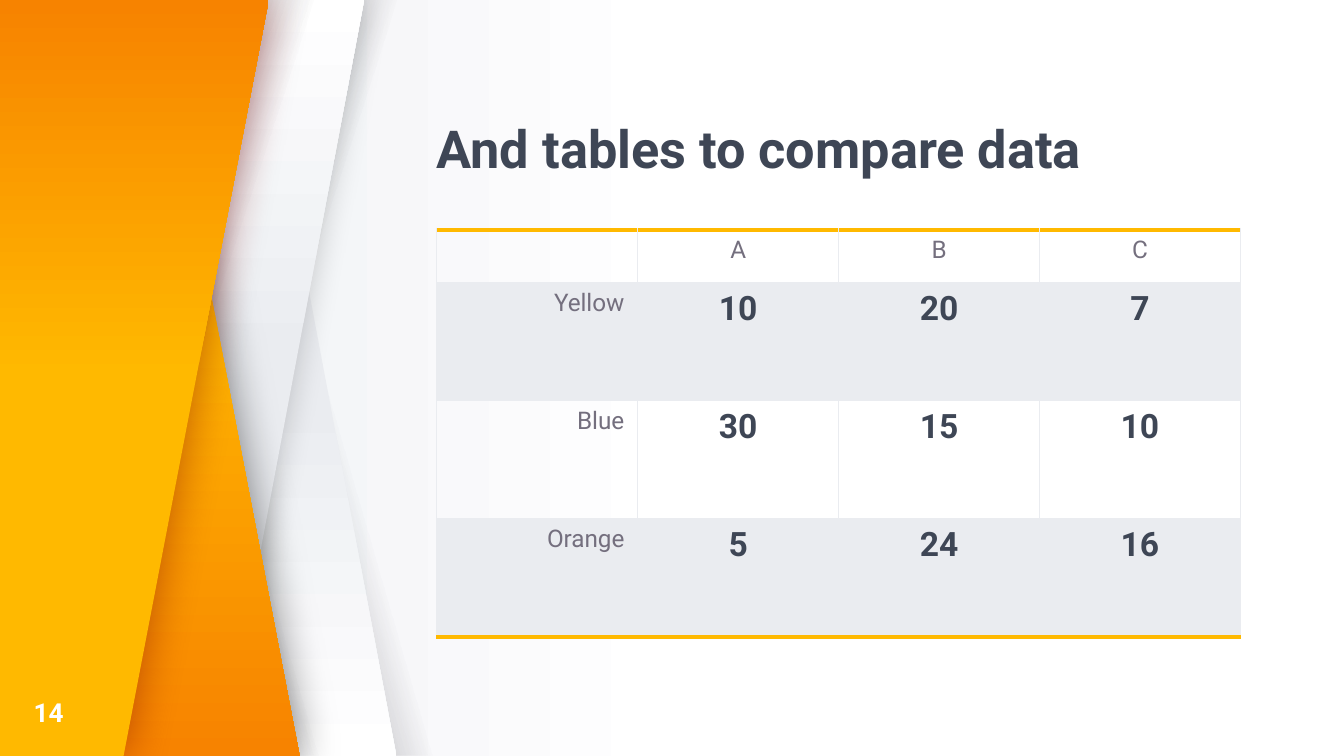
from pptx import Presentation
from pptx.dml.color import RGBColor
from pptx.enum.shapes import MSO_SHAPE
from pptx.enum.text import MSO_ANCHOR, PP_ALIGN
from pptx.oxml import parse_xml
from pptx.oxml.ns import nsdecls, qn
from pptx.util import Inches, Pt

WIDTH = 10
HEIGHT = WIDTH * 9 / 16
YELLOW, ORANGE, PALE, WHITE = "FFB900", "F78300", "EAECF0", "FFFFFF"
DARK, GREY, NIGHT = "3E4655", "746F7E", "27252C"
LABEL = {"size": Pt(13), "bold": False, "color": GREY}
VALUE = {"size": Pt(18), "bold": True, "color": DARK}
TITLE = {"size": Pt(28), "bold": True, "color": DARK}
NUMBER = {"size": Pt(14), "bold": True, "color": WHITE}


def rgb(value):
    return RGBColor.from_string(value)


def write(para, text, style, align=PP_ALIGN.LEFT):
    para.alignment = align
    span = para.add_run()
    span.text = text
    span.font.name = "Roboto"
    for name, value in style.items():
        if name == "color":
            span.font.color.rgb = rgb(value)
        else:
            setattr(span.font, name, value)


def set_frame(frame, anchor):
    settings = {"word_wrap": True, "vertical_anchor": anchor, "margin_left": 0,
                "margin_top": 0, "margin_right": 0, "margin_bottom": 0}
    for name, value in settings.items():
        setattr(frame, name, value)


def place(shape, left, top, width, height):
    for name, value in zip(("left", "top", "width", "height"), (left, top, width, height)):
        setattr(shape, name, Inches(value))


def set_gradient(fill, stops, angle):
    """Two-stop gradient; the angle runs clockwise."""
    fill.gradient()
    fill.gradient_angle = 360 - angle
    for stop, (position, color) in zip(fill.gradient_stops, stops):
        stop.position = position / 100
        stop.color.rgb = rgb(color)


def set_glow_shadow(shape, color, alpha, blur):
    shape.shadow.inherit = False
    effects = shape._element.spPr.find(qn("a:effectLst"))
    effects.append(parse_xml(
        f'<a:outerShdw {nsdecls("a")} blurRad="{Pt(blur)}" dist="0" dir="0" algn="bl" rotWithShape="0">'
        f'<a:srgbClr val="{color}"><a:alpha val="{alpha * 1000}"/></a:srgbClr></a:outerShdw>'))


def add_slant(page, left, height, slant, flip, stops, angle):
    shape = page.shapes.add_shape(MSO_SHAPE.PARALLELOGRAM, Inches(left), 0,
                                  Inches(2.3), Inches(height))
    shape.adjustments[0] = slant
    if flip:
        shape._element.spPr.find(qn("a:xfrm")).set("flipH", "1")
    set_gradient(shape.fill, stops, angle)
    shape.line.fill.background()
    shape.shadow.inherit = False
    return shape


def add_shade(page, left, height, flip):
    """Soft dark strip that fades out to the right."""
    start, angle = (45, 16) if flip else (44, 198)
    shape = add_slant(page, left, height, 0.75, flip, [(start, NIGHT), (100, DARK)], angle)
    first = next(shape._element.spPr.iter(qn("a:srgbClr")))
    first.append(parse_xml(f'<a:alpha {nsdecls("a")} val="0"/>'))


def add_sheet(page, left, points, start, angle, shadow_color):
    """Coloured sheet that fills the left edge."""
    first, *others = [(Inches(left + x), Inches(y)) for x, y in points]
    builder = page.shapes.build_freeform(*first)
    builder.add_line_segments(others, close=True)
    sheet = builder.convert_to_shape()
    set_gradient(sheet.fill, [(start, YELLOW), (100, ORANGE)], angle)
    sheet.line.fill.background()
    set_glow_shadow(sheet, shadow_color, 50, 24.7)


def add_folded_paper(page, left, height):
    white_stops = [(53, PALE), (100, WHITE)]
    # White bands, each over its own shade
    add_shade(page, left + 1.07, height, True)
    add_slant(page, left + 0.65, height, 0.46, True, white_stops, 90)
    add_shade(page, left + 0.65, height, False)
    band = add_slant(page, left + 0.41, height, 0.46, False, white_stops, 270)
    set_glow_shadow(band, "000000", 20, 16.9)
    # Coloured sheets, each over its own shade
    add_shade(page, left + 0.22, height, True)
    add_sheet(page, left, [(0, 0), (0, height), (2.23, height), (1.15, 0)], 37, 90, "000000")
    add_shade(page, left + 0.03, height, False)
    add_sheet(page, left, [(0, height), (0, 0), (2, 0), (0.92, height)], 50, 270, "7E0808")


def add_title(page, text, *box):
    title = page.shapes.title
    place(title, *box)
    set_frame(title.text_frame, MSO_ANCHOR.BOTTOM)
    para = title.text_frame.paragraphs[0]
    para.line_spacing = 0.9
    write(para, text, TITLE)


def set_borders(cell, **sides):
    properties = cell._tc.get_or_add_tcPr()
    for side in "LRTB":
        color, width = sides.get(side, (PALE, 0.75))
        properties.append(parse_xml(
            f'<a:ln{side} {nsdecls("a")} w="{Pt(width)}"><a:solidFill>'
            f'<a:srgbClr val="{color}"/></a:solidFill></a:ln{side}>'))


def add_comparison(page, rows, left, top, width, header_height, row_height):
    count = len(rows[0])
    table = page.shapes.add_table(
        len(rows), count, Inches(left), Inches(top), Inches(width),
        Inches(header_height + row_height * (len(rows) - 1))).table
    table.first_row = table.horz_banding = False
    for column in table.columns:
        column.width = Inches(width / count)
    for i, values in enumerate(rows):
        table.rows[i].height = Inches(row_height if i else header_height)
        sides = {"T": (YELLOW, 2.21)} if i == 0 else {}
        if i == len(rows) - 1:
            sides = {"B": (YELLOW, 2.21)}
        for j, value in enumerate(values):
            cell = table.cell(i, j)
            set_borders(cell, **sides)
            if i % 2:
                cell.fill.solid()
                cell.fill.fore_color.rgb = rgb(PALE)
            else:
                cell.fill.background()
            align = PP_ALIGN.CENTER if j else PP_ALIGN.RIGHT
            write(cell.text_frame.paragraphs[0], value, VALUE if i and j else LABEL, align)


def add_page_number(page, text, *box):
    holder = page.shapes.add_textbox(*map(Inches, box))
    set_frame(holder.text_frame, MSO_ANCHOR.MIDDLE)
    write(holder.text_frame.paragraphs[0], text, NUMBER)


def main():
    deck = Presentation()
    deck.slide_width, deck.slide_height = Inches(WIDTH), Inches(HEIGHT)
    page = deck.slides.add_slide(deck.slide_layouts[5])
    set_gradient(page.background.fill, [(50, WHITE), (100, PALE)], 180)
    add_folded_paper(page, 0, HEIGHT)
    add_title(page, "And tables to compare data", 3.25, 0.91, 5.97, 0.43)
    rows = [["", "A", "B", "C"],
            ["Yellow", "10", "20", "7"],
            ["Blue", "30", "15", "10"],
            ["Orange", "5", "24", "16"]]
    add_comparison(page, rows, 3.25, 1.71, 5.98, 0.39, 0.88)
    add_page_number(page, "14", 0.25, 5.16, 0.4, 0.27)
    deck.save("out.pptx")


if __name__ == "__main__":
    main()
